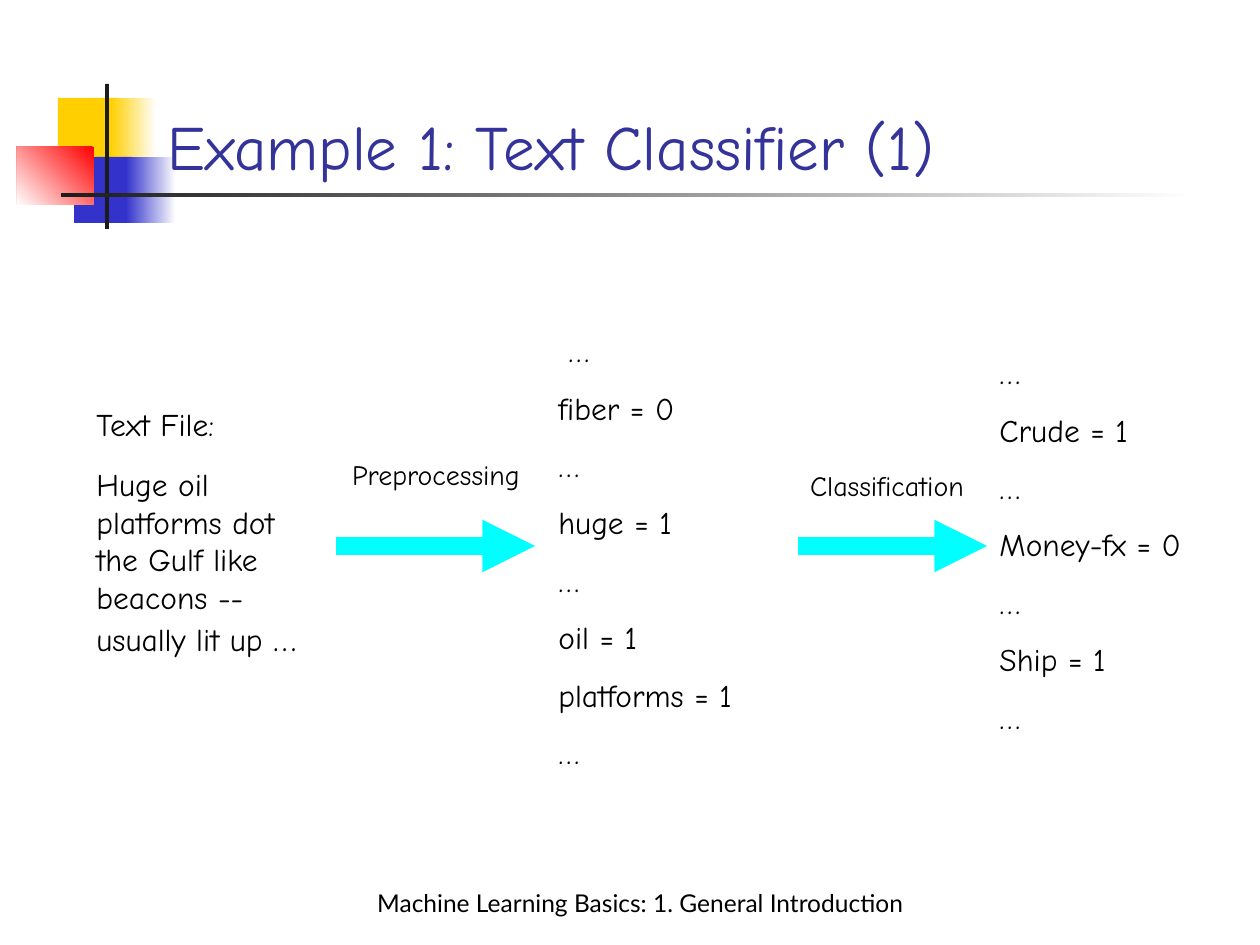
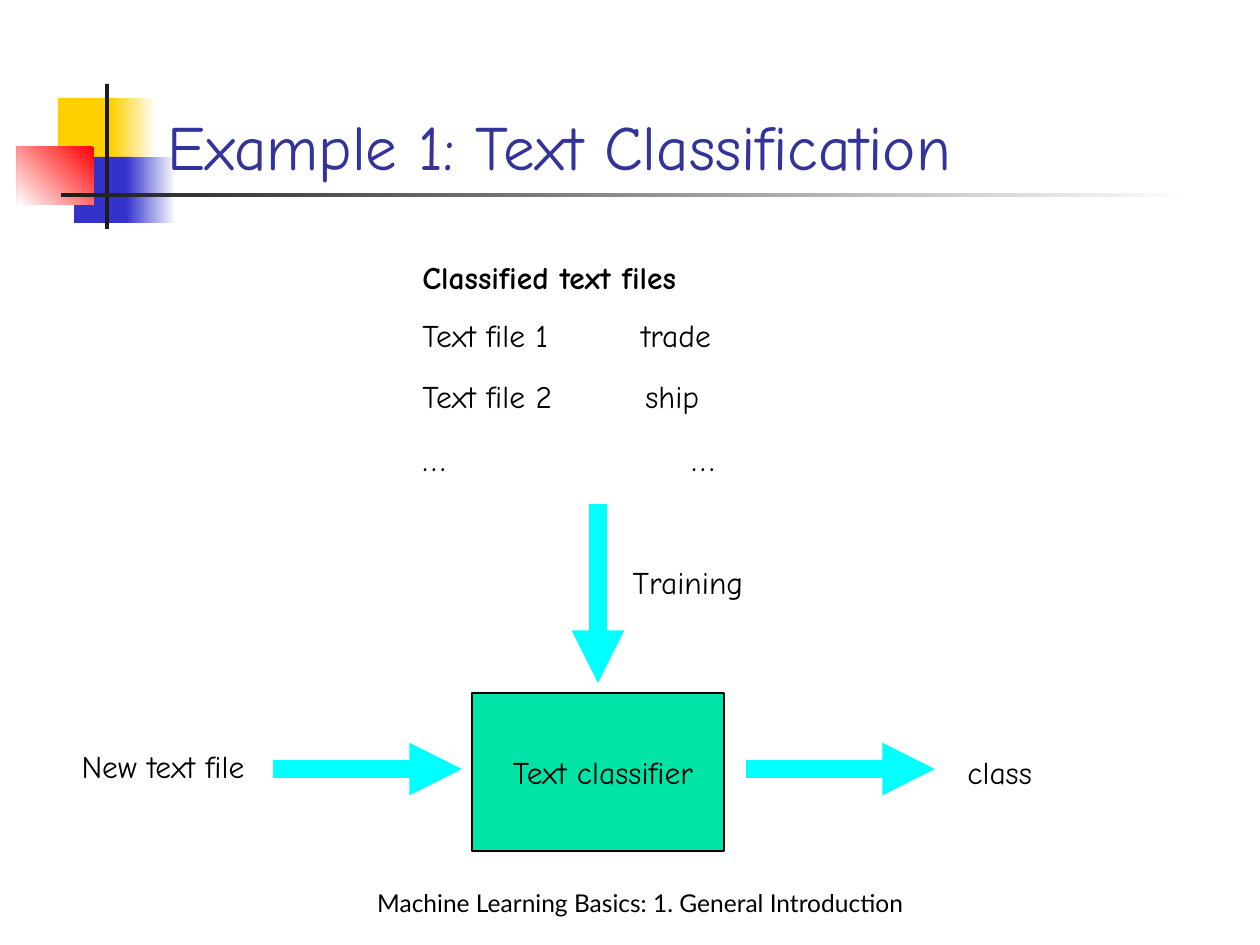
import dataclasses

import lxml.etree
import pptx
import pptx.dml.color
import pptx.enum.shapes
import pptx.enum.text
import pptx.oxml.ns
import pptx.util

RGB = pptx.dml.color.RGBColor
WHITE = RGB(0xFF, 0xFF, 0xFF)
BLACK = RGB(0x00, 0x00, 0x00)
INK = RGB(0x1C, 0x1C, 0x1C)
GOLD = RGB(0xFF, 0xCF, 0x01)
BLUE = RGB(0x33, 0x33, 0xCC)
RED = RGB(0xFF, 0x00, 0x00)
NAVY = RGB(0x33, 0x33, 0x99)
CYAN = RGB(0x00, 0xFF, 0xFF)
MINT = RGB(0x00, 0xE4, 0xA8)

FONT = "Comic Neue"
FOOT_FONT = "Lato"
FOOTER = "Machine Learning Basics: 1. General Introduction"

ALIGN = pptx.enum.text.PP_ALIGN
ANCHOR = pptx.enum.text.MSO_ANCHOR
FIT = pptx.enum.text.MSO_AUTO_SIZE
RECT = pptx.enum.shapes.MSO_SHAPE.RECTANGLE
STRAIGHT = pptx.enum.shapes.MSO_CONNECTOR.STRAIGHT

SCALE = 914400 / 126  # EMU in one px


@dataclasses.dataclass
class Para:
    runs: list  # (text, size, bold)
    before: float = 11.2
    indent: int = 0
    tab: int = 0


def emu(*lengths):
    return [round(n * SCALE) for n in lengths]


def line(text, size=18, bold=False, **style):
    return Para([(text, size, bold)], **style)


def lines(*texts):
    return [line(text) for text in texts]


# Text
def set_tab(par, pos):
    props = par._p.get_or_add_pPr()
    tabs = lxml.etree.SubElement(props, pptx.oxml.ns.qn("a:tabLst"))
    lxml.etree.SubElement(tabs, pptx.oxml.ns.qn("a:tab"),
                          pos=str(emu(pos)[0]), algn="l")


def write(frame, paras, align=ALIGN.LEFT, anchor=ANCHOR.TOP,
          font=FONT, color=BLACK):
    frame.word_wrap = True
    frame.vertical_anchor = anchor
    for i, para in enumerate(paras):
        par = frame.add_paragraph() if i else frame.paragraphs[0]
        par.alignment = align
        if para.tab:
            set_tab(par, para.tab)
        if para.indent:
            par._p.get_or_add_pPr().set("marL", str(emu(para.indent)[0]))
        par.space_before = pptx.util.Pt(para.before if i else 0)
        for text, size, bold in para.runs:
            run = par.add_run()
            run.text = text
            run.font.name = font
            run.font.size = pptx.util.Pt(size)
            run.font.bold = bold
            run.font.color.rgb = color


def add_text(slide, place, paras, **style):
    box = slide.shapes.add_textbox(*emu(*place))
    write(box.text_frame, paras, **style)


def add_label(slide, place, text, size=18):
    add_text(slide, place, [line(text, size)], align=ALIGN.CENTER)


# Shapes
def add_rect(slide, place, color):
    rect = slide.shapes.add_shape(RECT, *emu(*place))
    rect.shadow.inherit = False
    rect.fill.solid()
    rect.fill.fore_color.rgb = color
    rect.line.fill.background()
    return rect


def add_fade(slide, place, start, end, angle):
    fill = add_rect(slide, place, start).fill
    fill.gradient()
    fill.gradient_angle = angle
    for stop, color in zip(fill.gradient_stops, (start, end)):
        stop.color.rgb = color


def add_arrow(slide, *ends):
    arrow = slide.shapes.add_connector(STRAIGHT, *emu(*ends))
    arrow.line.color.rgb = CYAN
    arrow.line.width = pptx.util.Pt(10)
    stroke = arrow.line._get_or_add_ln()
    lxml.etree.SubElement(stroke, pptx.oxml.ns.qn("a:tailEnd"),
                          type="triangle")
    lxml.etree.SubElement(arrow._element.spPr,
                          pptx.oxml.ns.qn("a:effectLst"))


# Shared frame: blocks, rules, title and footer
def add_slide(deck, heading):
    slide = deck.slides.add_slide(deck.slide_layouts[5])
    add_rect(slide, (58, 98, 60, 66), GOLD)
    add_fade(slide, (111, 98, 45, 66), WHITE, GOLD, 180)
    add_rect(slide, (74, 157, 58, 66), BLUE)
    add_fade(slide, (126, 157, 50, 66), WHITE, BLUE, 180)
    add_fade(slide, (17, 147, 77, 58), RED, WHITE, 225)
    add_rect(slide, (105, 84, 4, 145), INK)
    add_fade(slide, (61, 193, 1134, 4), WHITE, INK, 180)

    title = slide.shapes.title
    title.left, title.top, title.width, title.height = emu(155, 63, 1074, 126)
    title.text_frame.auto_size = FIT.NONE
    write(title.text_frame, [line(heading, 36)],
          anchor=ANCHOR.BOTTOM, color=NAVY)
    slide.shapes.element.append(title.element)  # in front of the blocks

    add_text(slide, (105, 861, 1071, 63), [line(FOOTER, 14)],
             align=ALIGN.CENTER, anchor=ANCHOR.BOTTOM, font=FOOT_FONT)
    return slide


def add_steps(deck):
    slide = add_slide(deck, "Example 1: Text Classifier (1)")
    # Source text
    quote = ("Huge oil platforms dot the Gulf like beacons -- "
             "usually lit up ")
    add_text(slide, (84, 399, 242, 307), [
        line("Text File:"),
        Para([(quote, 18, False), ("…", 20, False)], before=12.5)])
    # Word features
    add_text(slide, (546, 325, 242, 454), [
        line("…", indent=10),
        *lines("fiber = 0", "…", "huge = 1", "…", "oil = 1",
               "platforms = 1", "…")])
    # Classes
    add_text(slide, (987, 347, 231, 396), lines(
        "…", "Crude = 1", "…", "Money-fx = 0", "…", "Ship = 1", "…"))
    # Steps between the columns
    add_arrow(slide, 336, 546, 535, 546)
    add_label(slide, (315, 451, 242, 47), "Preprocessing", 16)
    add_arrow(slide, 798, 546, 987, 546)
    add_label(slide, (766, 462, 242, 47), "Classification", 16)


def add_model(deck):
    slide = add_slide(deck, "Example 1: Text Classification")
    # Training data
    add_text(slide, (410, 252, 368, 234), [
        line("Classified text files", bold=True),
        line("Text file 1\ttrade", tab=219),
        Para([("Text file 2", 18, False), ("\t", 20, False),
              ("ship", 18, False)], tab=223),
        line("…\t…", 20, before=12.5, tab=269)])
    add_arrow(slide, 598, 504, 598, 683)
    add_label(slide, (567, 557, 242, 50), "Training")
    # Classifier
    model = add_rect(slide, (472, 693, 252, 158), MINT)
    model.line.color.rgb = BLACK
    model.line.width = pptx.util.Pt(0.75)
    write(model.text_frame, [line("Text classifier", indent=10)],
          align=ALIGN.CENTER, anchor=ANCHOR.MIDDLE)
    # Input and output
    for left in (273, 746):
        add_arrow(slide, left, 769, left + 189, 769)
    add_label(slide, (42, 741, 242, 50), "New text file")
    add_text(slide, (955, 747, 231, 50), lines("class"))


def main():
    deck = pptx.Presentation()
    deck.slide_width, deck.slide_height = emu(1260, 945)
    add_steps(deck)
    add_model(deck)
    deck.save("out.pptx")


if __name__ == "__main__":
    main()
